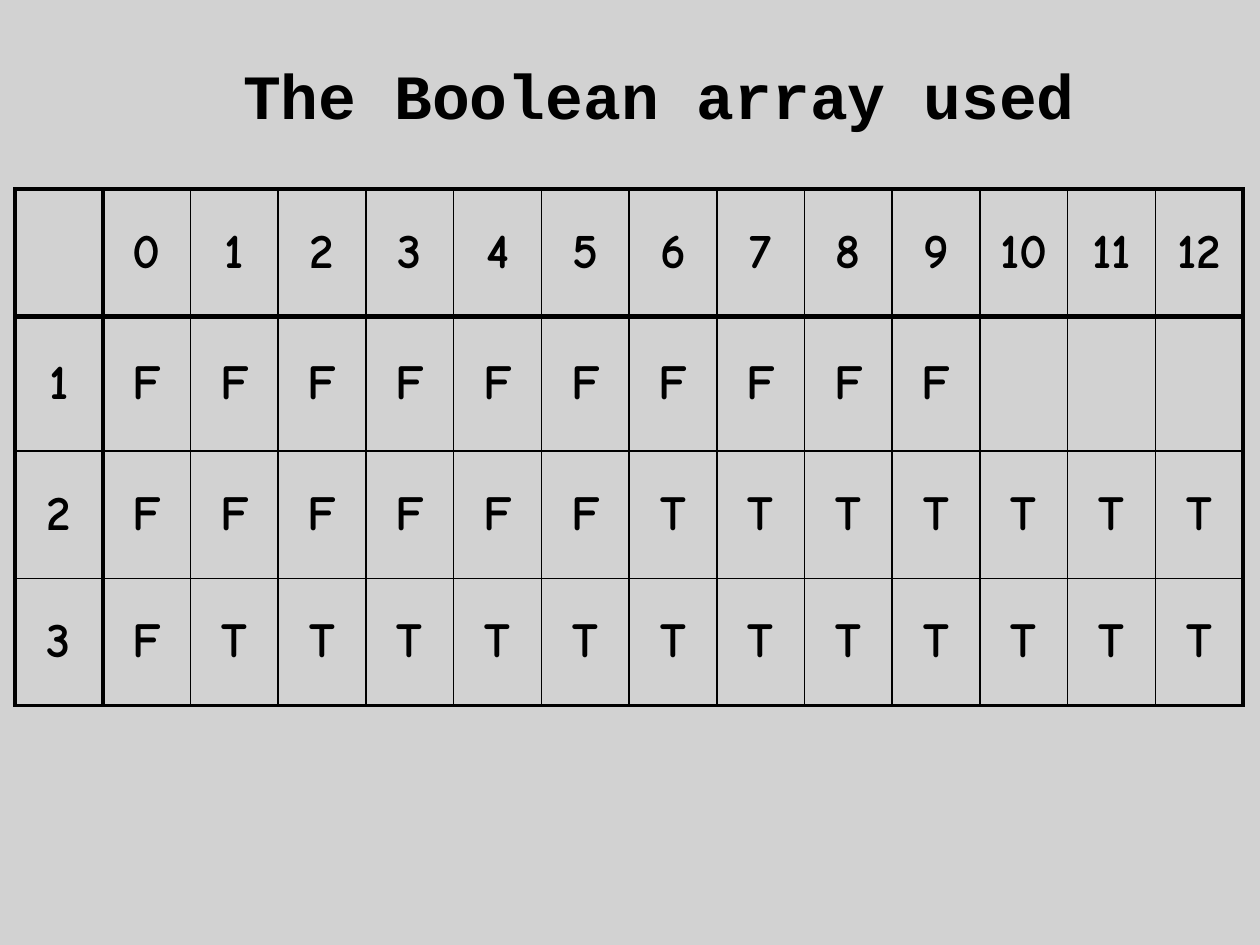
from lxml.etree import SubElement
from pptx import Presentation
from pptx.dml.color import RGBColor
from pptx.enum.shapes import MSO_SHAPE
from pptx.enum.text import MSO_ANCHOR as Anchor, MSO_AUTO_SIZE as AutoSize, PP_ALIGN as Align
from pptx.oxml import parse_xml
from pptx.oxml.ns import nsdecls, qn
from pptx.util import Inches, Pt

INK = "000000"
SILVER = "C0C0C0"
ROWS = [
    ["", *map(str, range(13))],
    ["1", *"F" * 10, "", "", ""],
    ["2", *"F" * 6, *"T" * 7],
    ["3", "F", *"T" * 12],
]
ROW_HEIGHTS = [1.01, 1.07, 1.01, 1.01]


def color(value):
    return RGBColor.from_string(value)


def write(frame, text, font="Comic Neue", size=28, align=Align.CENTER):
    frame.text = text
    paragraph = frame.paragraphs[0]
    paragraph.alignment = align
    for run in paragraph.runs:
        run.font.name = font
        run.font.size = Pt(size)
        run.font.bold = True
        run.font.color.rgb = color(INK)


def add_backdrop(slide, left, top, width, height):
    backdrop = slide.shapes.add_shape(MSO_SHAPE.RECTANGLE, left, top, width, height)
    backdrop.shadow.inherit = False
    backdrop.fill.solid()
    backdrop.fill.fore_color.rgb = color(SILVER)
    backdrop.line.fill.background()
    fill_color = backdrop.element.spPr.find(qn("a:solidFill"))[0]
    SubElement(fill_color, qn("a:alpha"), val="70000")
    slide.shapes.title.element.addprevious(backdrop.element)


def format_title(slide, left, top, width, height):
    title = slide.shapes.title
    title.left, title.top, title.width, title.height = left, top, width, height
    frame = title.text_frame
    frame.word_wrap = True
    frame.vertical_anchor = Anchor.TOP
    frame.auto_size = AutoSize.SHAPE_TO_FIT_TEXT
    write(frame, "The Boolean array used", font="Courier New", size=36, align=Align.LEFT)


def rule_weight(index, count):
    if index in (0, count):
        return 2.25
    return 3 if index == 1 else 1


def set_borders(cell, weights):
    properties = cell._tc.get_or_add_tcPr()
    for position, (side, weight) in enumerate(weights.items()):
        border = parse_xml(
            f'<a:ln{side} {nsdecls("a")} w="{Pt(weight)}"><a:solidFill>'
            f'<a:srgbClr val="{INK}"/></a:solidFill></a:ln{side}>'
        )
        properties.insert(position, border)


def add_boolean_table(slide, left, top, width, height):
    row_count, column_count = len(ROWS), len(ROWS[0])
    table = slide.shapes.add_table(row_count, column_count, left, top, width, height).table
    table.first_row = table.horz_banding = False
    for column in table.columns:
        column.width = width // column_count
    for row, share in zip(table.rows, ROW_HEIGHTS):
        row.height = int(height * share / sum(ROW_HEIGHTS))
    for row_index, values in enumerate(ROWS):
        for column_index, value in enumerate(values):
            cell = table.cell(row_index, column_index)
            cell.fill.background()
            cell.vertical_anchor = Anchor.MIDDLE
            write(cell.text_frame, value)
            set_borders(cell, {
                "L": rule_weight(column_index, column_count),
                "R": rule_weight(column_index + 1, column_count),
                "T": rule_weight(row_index, row_count),
                "B": rule_weight(row_index + 1, row_count),
            })


def main():
    presentation = Presentation()
    presentation.slide_width = Inches(10)
    presentation.slide_height = Inches(7.5)
    slide = presentation.slides.add_slide(presentation.slide_layouts[5])
    add_backdrop(slide, 0, 0, presentation.slide_width, presentation.slide_height)
    format_title(slide, Inches(1.83), Inches(0.4), Inches(6.87), Inches(0.71))
    add_boolean_table(slide, Inches(0.12), Inches(1.5), Inches(9.75), Inches(sum(ROW_HEIGHTS)))
    presentation.save("out.pptx")


if __name__ == "__main__":
    main()
